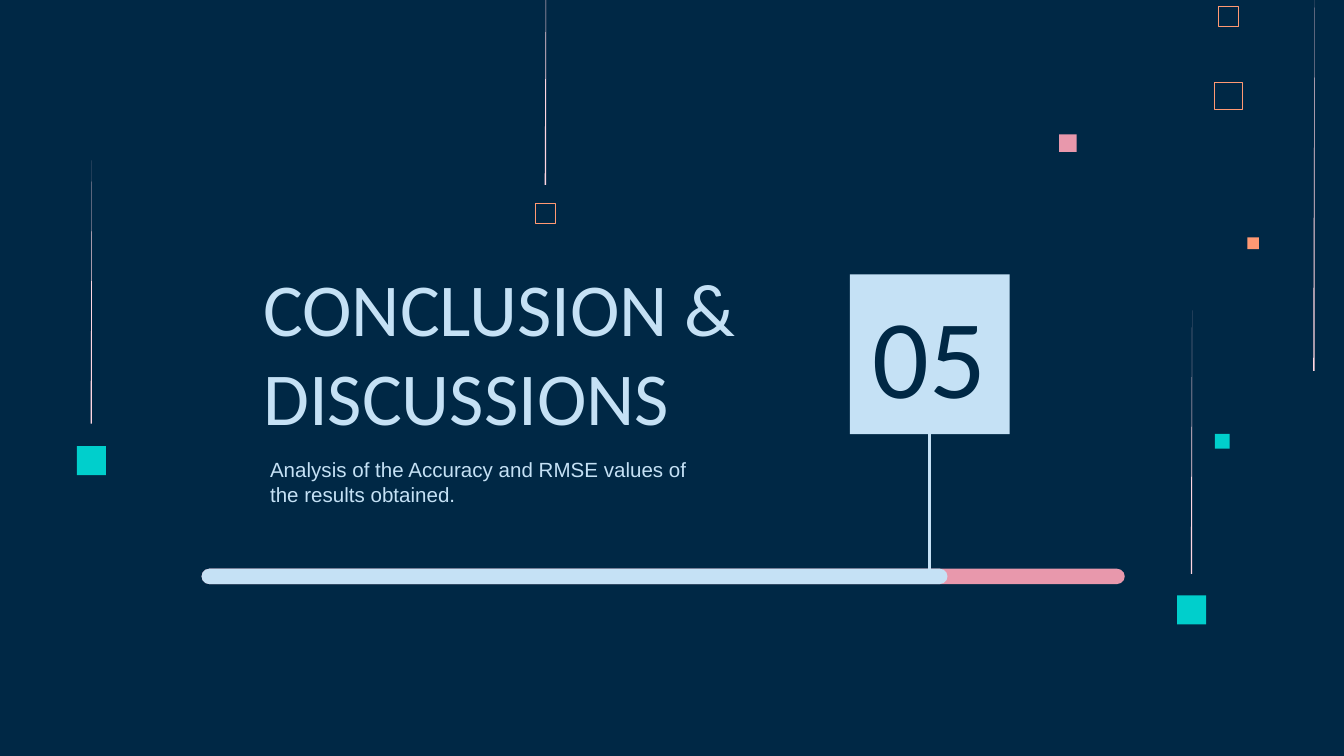
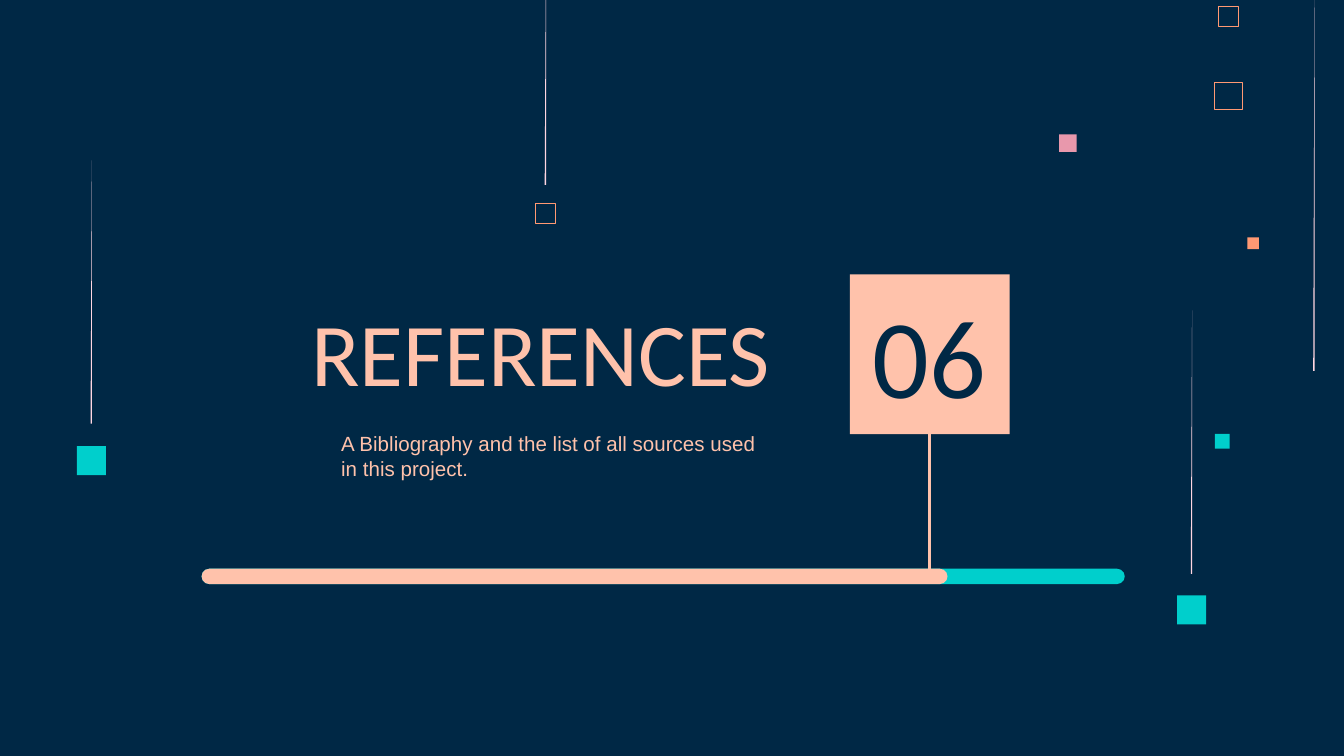
from lxml import etree
from pptx import Presentation
from pptx.dml.color import RGBColor
from pptx.enum.shapes import MSO_CONNECTOR, MSO_SHAPE
from pptx.enum.text import MSO_ANCHOR, MSO_AUTO_SIZE, PP_ALIGN
from pptx.oxml.ns import qn
from pptx.util import Pt

RECTANGLE = MSO_SHAPE.RECTANGLE
ROUNDED = MSO_SHAPE.ROUNDED_RECTANGLE
STRAIGHT = MSO_CONNECTOR.STRAIGHT
TOP, MIDDLE, BOTTOM = MSO_ANCHOR.TOP, MSO_ANCHOR.MIDDLE, MSO_ANCHOR.BOTTOM
LEFT, CENTER = PP_ALIGN.LEFT, PP_ALIGN.CENTER
NO_AUTOFIT = MSO_AUTO_SIZE.NONE
TITLE_ONLY = 5
BOTTOM_SIDE = 2

COLORS = {
    "navy": "002845",
    "sky": "C5E1F5",
    "peach": "FFC2AB",
    "pink": "E898AC",
    "teal": "00CFCC",
    "orange": "FF9973",
    "blush": "FFD6E1",
}
HEADING_FONT = "Calibri"
BODY_FONT = "Arial"
INSET = 7.2

FILLED_SQUARES = [
    (567.4, 72, 9.4, "pink"),
    (650.9, 232.5, 7.9, "teal"),
    (668.2, 127.2, 6.3, "orange"),
    (630.6, 319, 15.6, "teal"),
    (41.2, 239, 15.6, "teal"),
]
OUTLINED_SQUARES = [
    (650.6, 44, 14.8, 0.45),
    (652.7, 3.4, 10.6, 0.32),
    (286.9, 109, 10.6, 0.32),
]
THREADS = [
    (291.8, -34.6, 133.6),
    (703.5, 0, 198.7),
    (637.9, 166.3, 141.1),
    (48.5, 85.9, 141.1),
]
THREAD_WIDTH = 0.7

BAR_LEFT, BAR_TOP, BAR_HEIGHT = 108, 304.7, 8.2
BAR_WIDTH, PROGRESS_WIDTH = 494.6, 399.6
BADGE_LEFT, BADGE_TOP, BADGE_SIZE = 455.3, 147, 85.6
STEM_END = 309.6

SECTIONS = [
    {
        "number": "05",
        "title": "CONCLUSION & DISCUSSIONS",
        "title_area": (133.9, 128.2, 303.1, 115.2),
        "title_format": {"size": 40, "align": LEFT},
        "summary": "Analysis of the Accuracy and RMSE values of the results obtained.",
        "summary_area": (137.6, 237.6, 244.1, 82.8),
        "accent": "sky",
        "track": "pink",
    },
    {
        "number": "06",
        "title": "REFERENCES",
        "title_area": (138.2, 156.2, 303.1, 67.7),
        "title_format": {"size": 48, "align": CENTER},
        "summary": "A Bibliography and the list of all sources used in this project.",
        "summary_area": (175.7, 223.9, 244.1, 82.8),
        "accent": "peach",
        "track": "teal",
    },
]


def rgb(name):
    """Return the named palette colour."""
    return RGBColor.from_string(COLORS[name])


def write_text(shape, text, *, size, color, font, align=LEFT, anchor=TOP):
    """Fill a shape with one formatted paragraph."""
    frame = shape.text_frame
    frame.word_wrap = True
    frame.auto_size = NO_AUTOFIT
    frame.vertical_anchor = anchor
    frame.margin_left = frame.margin_right = Pt(INSET)
    frame.margin_top = frame.margin_bottom = Pt(INSET)
    para = frame.paragraphs[0]
    para.alignment = align
    span = para.add_run()
    span.text = text
    span.font.size = Pt(size)
    span.font.name = font
    span.font.bold = False
    span.font.color.rgb = rgb(color)


class SectionDeck:
    """Hold the deck style and the page being drawn."""

    def __init__(self):
        """Open a widescreen deck on a navy background."""
        self.deck = Presentation()
        self.deck.slide_width, self.deck.slide_height = Pt(720), Pt(405)
        background = self.deck.slide_master.background.fill
        background.solid()
        background.fore_color.rgb = rgb("navy")
        self.page = None

    def new_page(self):
        """Start a page with the shared decoration."""
        layout = self.deck.slide_layouts[TITLE_ONLY]
        self.page = self.deck.slides.add_slide(layout)
        for left, top, side, color in FILLED_SQUARES:
            self.block(left, top, side, side, fill=color)
        for left, top, side, weight in OUTLINED_SQUARES:
            self.block(left, top, side, side, line="orange", weight=weight)
        for left, top, height in THREADS:
            self.thread(left, top, height)

    def paint(self, shape, fill=None, line=None, weight=1):
        """Set fill and line and drop the shadow."""
        shape.shadow.inherit = False
        if fill:
            shape.fill.solid()
            shape.fill.fore_color.rgb = rgb(fill)
        else:
            shape.fill.background()
        if line:
            shape.line.color.rgb = rgb(line)
            shape.line.width = Pt(weight)
        else:
            shape.line.fill.background()

    def block(self, left, top, width, height, kind=RECTANGLE, **style):
        """Add a preset shape."""
        shape = self.page.shapes.add_shape(
            kind, Pt(left), Pt(top), Pt(width), Pt(height))
        self.paint(shape, **style)
        return shape

    def thread(self, left, top, height):
        """Add a hanging sliver that tapers towards the top."""
        right, bottom = Pt(left + THREAD_WIDTH), Pt(top + height)
        builder = self.page.shapes.build_freeform(right, Pt(top))
        builder.add_line_segments([(Pt(left), bottom), (right, bottom)], close=True)
        self.paint(builder.convert_to_shape(), fill="blush")

    def title(self, text, area, **style):
        """Place and format the title placeholder."""
        box = self.page.shapes.title
        box.left, box.top, box.width, box.height = map(Pt, area)
        write_text(box, text, font=HEADING_FONT, anchor=BOTTOM, **style)

    def text(self, text, area, **style):
        """Add a text box."""
        box = self.page.shapes.add_textbox(*map(Pt, area))
        write_text(box, text, **style)

    def badge(self, number, color):
        """Add the square that carries the section number."""
        square = self.block(BADGE_LEFT, BADGE_TOP, BADGE_SIZE, BADGE_SIZE, fill=color)
        self.text(number, (459.4, 167, 77, 45.4), size=60, color="navy",
                  font=HEADING_FONT, align=CENTER, anchor=MIDDLE)
        return square

    def bar(self, width, color):
        """Add a bar with round ends."""
        shape = self.block(BAR_LEFT, BAR_TOP, width, BAR_HEIGHT, ROUNDED, fill=color)
        shape.adjustments[0] = 0.5

    def stem(self, badge, color):
        """Join the badge to the progress bar."""
        center = Pt(BADGE_LEFT + BADGE_SIZE / 2)
        line = self.page.shapes.add_connector(
            STRAIGHT, center, Pt(BADGE_TOP + BADGE_SIZE), center, Pt(STEM_END))
        line.begin_connect(badge, BOTTOM_SIDE)
        line.line.color.rgb = rgb(color)
        line.line.width = Pt(1.5)
        etree.SubElement(line._element.spPr, qn("a:effectLst"))

    def section(self, content):
        """Draw one section page."""
        accent = content["accent"]
        self.new_page()
        self.title(content["title"], content["title_area"], color=accent,
                   **content["title_format"])
        badge = self.badge(content["number"], accent)
        self.bar(BAR_WIDTH, content["track"])
        self.bar(PROGRESS_WIDTH, accent)
        self.stem(badge, accent)
        self.text(content["summary"], content["summary_area"], size=11,
                  color=accent, font=BODY_FONT)


def main():
    """Build and save the deck."""
    sections = SectionDeck()
    for content in SECTIONS:
        sections.section(content)
    sections.deck.save("out.pptx")


if __name__ == "__main__":
    main()
